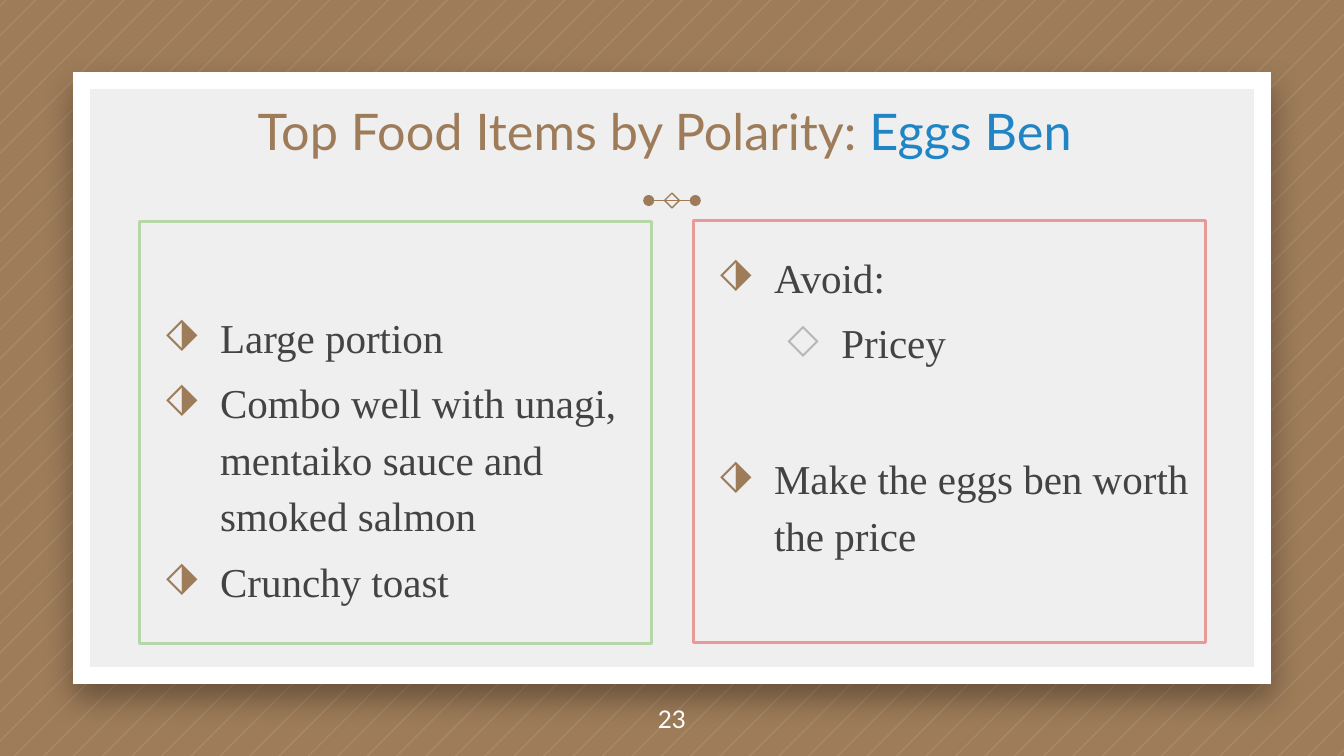
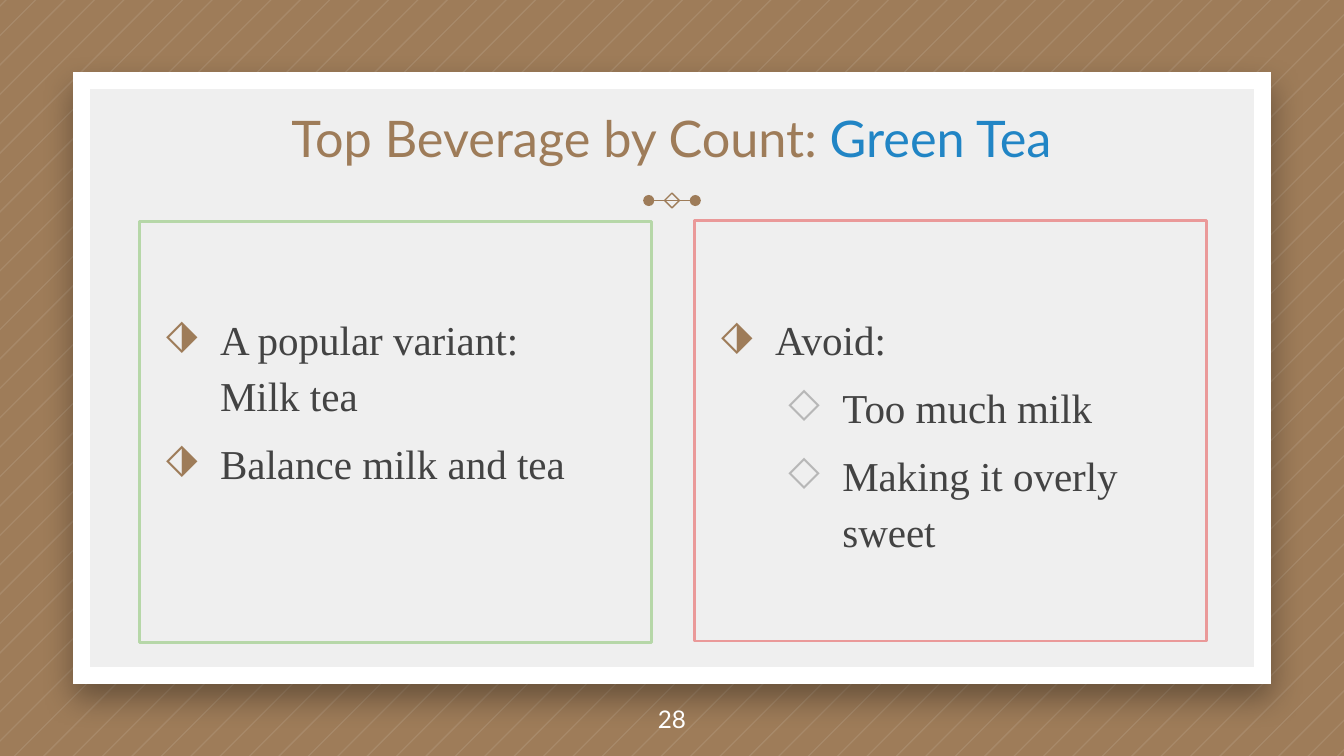
"""Build two slides on top menu items, each with a praise box and an avoid box."""
from typing import NamedTuple

import lxml.etree
import pptx
import pptx.dml.color
import pptx.enum.shapes
import pptx.enum.text
import pptx.oxml.ns
import pptx.util

Cm = pptx.util.Cm
Pt = pptx.util.Pt
WIDTH, HEIGHT = Cm(25.4), Cm(14.29)
BROWN, BLUE, WHITE, PANEL = "9E7C59", "2185C5", "FFFFFF", "EFEFEF"
INK, SILVER, GREEN, RED = "434343", "B7B7B7", "B6D7A8", "EA9999"
HEADING_FONT, BODY_FONT = "Lato", "Times New Roman"
MARGIN = Cm(0.25)


class Point(NamedTuple):
    text: str
    level: int = 0
    space_before: float = 6


class Box(NamedTuple):
    left: float
    top: float
    height: float
    outline: str
    top_inset: float
    points: list[Point]


class Page(NamedTuple):
    topic: str
    item: str
    title_area: tuple[float, float, float, float]
    number: str
    boxes: list[Box]


PAGES = [
    Page("Top Food Items by Polarity: ", "Eggs Ben", (2.49, 0.89, 20.14, 2.39), "23", [
        Box(2.64, 4.19, 7.98, GREEN, 1.57, [
            Point("Large portion"),
            Point("Combo well with unagi, mentaiko sauce and smoked salmon", 0, 4.8),
            Point("Crunchy toast", 0, 4.8),
        ]),
        Box(13.11, 4.17, 7.98, RED, 0.46, [
            Point("Avoid:"),
            Point("Pricey", 1, 4.8),
            Point("Make the eggs ben worth the price", 0, 42.6),
        ]),
    ]),
    Page("Top Beverage by Count: ", "Green Tea", (1.35, 1.02, 22.68, 2.39), "28", [
        Box(2.64, 4.19, 7.95, GREEN, 1.61, [
            Point("A popular variant:\nMilk tea"),
            Point("Balance milk and tea"),
        ]),
        Box(13.13, 4.17, 7.95, RED, 1.64, [
            Point("Avoid:"),
            Point("Too much milk", 1),
            Point("Making it overly sweet", 1),
        ]),
    ]),
]


def rgb(colour: str) -> pptx.dml.color.RGBColor:
    """Turn a hex string into a colour."""
    return pptx.dml.color.RGBColor.from_string(colour)


def add_xml(parent, tag: str, **attributes):
    """Append a drawing element with the given attributes."""
    child = lxml.etree.SubElement(parent, pptx.oxml.ns.qn(tag))
    for key, value in attributes.items():
        child.set(key, str(value))
    return child


def paint(shape, fill: str | None = None, line: str | None = None, weight: float = 0.75) -> None:
    """Set the fill and outline of a shape and drop its shadow."""
    shape.shadow.inherit = False
    if fill:
        shape.fill.solid()
        shape.fill.fore_color.rgb = rgb(fill)
    else:
        shape.fill.background()
    if line:
        shape.line.color.rgb = rgb(line)
        shape.line.width = Pt(weight)
    else:
        shape.line.fill.background()


def write(paragraph, text: str, *, size: float, font: str, colour: str) -> None:
    """Add formatted text to a paragraph, with a line break at each newline."""
    for index, part in enumerate(text.split("\n")):
        if index:
            paragraph.add_line_break()
        run = paragraph.add_run()
        run.text = part
        run.font.size = Pt(size)
        run.font.name = font
        run.font.color.rgb = rgb(colour)


def set_frame(frame, anchor, top_inset: int = MARGIN) -> None:
    """Set wrapping, anchor and margins of a text frame."""
    frame.word_wrap = True
    frame.auto_size = pptx.enum.text.MSO_AUTO_SIZE.NONE
    frame.vertical_anchor = anchor
    frame.margin_left = frame.margin_right = frame.margin_bottom = MARGIN
    frame.margin_top = top_inset


def add_stripes(shapes):
    """Draw the faint diagonal stripes across the whole slide."""
    pitch = HEIGHT * 7 / 180
    band = pitch / 16

    def ends(offset: float) -> list[tuple[int, int]]:
        """Give the upper and lower end of a diagonal."""
        return [(round(min(offset, WIDTH)), round(max(0, offset - WIDTH))),
                (round(max(0, offset - HEIGHT)), round(min(offset, HEIGHT)))]

    builder = None
    for index in range(72):
        offset = Cm(0.1) + index * pitch
        corners = ends(offset) + ends(offset + band)[::-1]
        if builder is None:
            builder = shapes.build_freeform(*corners[0])
        else:
            builder.move_to(*corners[0])
        builder.add_line_segments(corners[1:], close=True)
    stripes = builder.convert_to_shape()
    paint(stripes, WHITE)
    add_xml(stripes.element.xpath("./p:spPr/a:solidFill/a:srgbClr")[0], "a:alpha", val=10000)
    return stripes


def add_panel(shapes):
    """Draw the framed panel with its soft shadow."""
    panel = shapes.add_shape(pptx.enum.shapes.MSO_SHAPE.RECTANGLE,
                             Cm(1.54), Cm(1.52), Cm(22.32), Cm(11.25))
    paint(panel, PANEL, WHITE, 9)
    add_xml(panel.element.xpath("./p:spPr/a:ln")[0], "a:miter", lim=800000)
    shadow = add_xml(panel.element.xpath("./p:spPr/a:effectLst")[0], "a:outerShdw",
                     blurRad=Pt(16.9), dist=Pt(7.5), dir=5400000, algn="bl", rotWithShape=0)
    add_xml(add_xml(shadow, "a:srgbClr", val="000000"), "a:alpha", val=35000)
    return panel


def add_ornament(shapes):
    """Draw the small diamond on a dotted rule under the title."""
    ornament = shapes.add_group_shape()
    middle, level, size = WIDTH // 2, Cm(3.79), Cm(0.28)
    reach = Cm(0.44)
    rule = ornament.shapes.add_connector(pptx.enum.shapes.MSO_CONNECTOR.STRAIGHT,
                                         middle - reach, level, middle + reach, level)
    rule.line.color.rgb = rgb(BROWN)
    rule.line.width = Pt(0.75)
    outline = rule.element.xpath("./p:spPr/a:ln")[0]
    for tag in ("a:headEnd", "a:tailEnd"):
        add_xml(outline, tag, type="oval")
    add_xml(rule.element.spPr, "a:effectLst")
    diamond = ornament.shapes.add_shape(pptx.enum.shapes.MSO_SHAPE.DIAMOND,
                                        middle - size // 2, level - size // 2, size, size)
    paint(diamond, line=BROWN)
    return ornament


def dress_layout(layout, shapes) -> None:
    """Give the layout its background, stripes, panel and ornament."""
    layout.background.fill.solid()
    layout.background.fill.fore_color.rgb = rgb(BROWN)
    for placeholder in list(layout.placeholders):
        if placeholder.placeholder_format.idx:
            layout.shapes.element.remove(placeholder.element)
    for part in (add_stripes(shapes), add_panel(shapes), add_ornament(shapes)):
        layout.shapes.element.append(part.element)


def add_title(slide, page: Page) -> None:
    """Place the title and colour its item name."""
    title = slide.shapes.title
    title.left, title.top, title.width, title.height = map(Cm, page.title_area)
    set_frame(title.text_frame, pptx.enum.text.MSO_ANCHOR.BOTTOM)
    heading = title.text_frame.paragraphs[0]
    heading.alignment = pptx.enum.text.PP_ALIGN.CENTER
    for text, colour in ((page.topic, BROWN), (page.item, BLUE)):
        write(heading, text, size=27, font=HEADING_FONT, colour=colour)


def add_box(slide, box: Box) -> None:
    """Draw an outlined box with its bulleted points."""
    frame_shape = slide.shapes.add_shape(pptx.enum.shapes.MSO_SHAPE.RECTANGLE, Cm(box.left),
                                         Cm(box.top), Cm(9.68), Cm(box.height))
    paint(frame_shape, line=box.outline, weight=1.5)
    frame = frame_shape.text_frame
    set_frame(frame, pptx.enum.text.MSO_ANCHOR.TOP, Cm(box.top_inset))
    for index, point in enumerate(box.points):
        paragraph = frame.add_paragraph() if index else frame.paragraphs[0]
        properties = paragraph._p.get_or_add_pPr()
        properties.set("marL", str(Cm(1.27) * (point.level + 1)))
        properties.set("indent", str(-Cm(1.02)))
        bullet, bullet_colour = (("⬗", BROWN), ("◇", SILVER))[point.level]
        add_xml(add_xml(properties, "a:buClr"), "a:srgbClr", val=bullet_colour)
        add_xml(properties, "a:buChar", char=bullet)
        paragraph.level = point.level
        paragraph.alignment = pptx.enum.text.PP_ALIGN.LEFT
        paragraph.line_spacing = 1.15
        if index:
            paragraph.space_before = Pt(point.space_before)
        write(paragraph, point.text, size=22, font=BODY_FONT, colour=INK)


def add_number(slide, number: str) -> None:
    """Write the page number in the bottom band."""
    footer = slide.shapes.add_textbox(0, Cm(12.9), WIDTH, Cm(1.37))
    set_frame(footer.text_frame, pptx.enum.text.MSO_ANCHOR.MIDDLE)
    paragraph = footer.text_frame.paragraphs[0]
    paragraph.alignment = pptx.enum.text.PP_ALIGN.CENTER
    write(paragraph, number, size=13, font=HEADING_FONT, colour=WHITE)


def main() -> None:
    """Build and save the presentation."""
    deck = pptx.Presentation()
    deck.slide_width, deck.slide_height = WIDTH, HEIGHT
    layout = deck.slide_layouts[5]
    for index, page in enumerate(PAGES):
        slide = deck.slides.add_slide(layout)
        if index == 0:
            dress_layout(layout, slide.shapes)
        add_title(slide, page)
        for box in page.boxes:
            add_box(slide, box)
        add_number(slide, page.number)
    deck.save("out.pptx")


if __name__ == "__main__":
    main()
